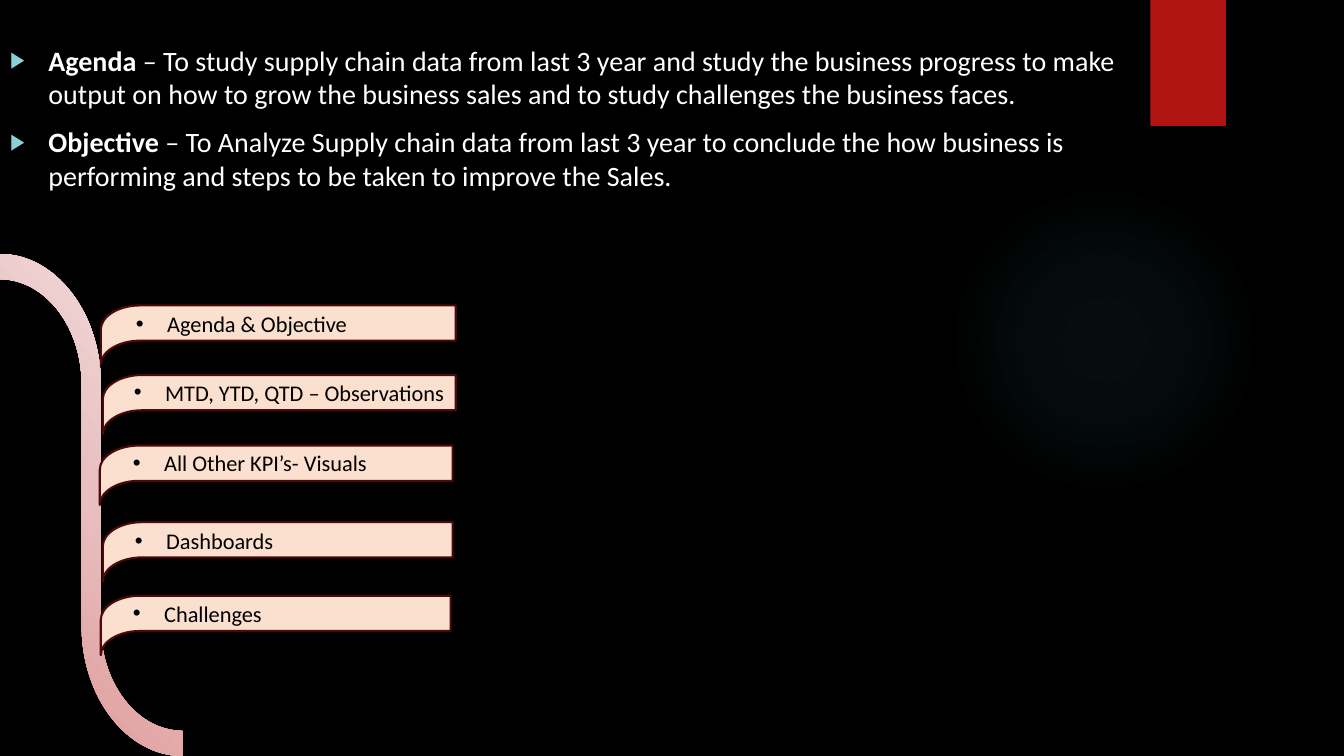
from pptx import Presentation
from pptx.dml.color import RGBColor
from pptx.enum.shapes import MSO_SHAPE
from pptx.enum.text import MSO_ANCHOR, MSO_AUTO_SIZE
from pptx.oxml import parse_xml
from pptx.oxml.ns import nsdecls, qn
from pptx.util import Inches, Pt

WIDE, HIGH = 13.33, 7.5
ROUND = 0.55  # share of a quarter ellipse's side taken by its handle
BLACK = RGBColor(0, 0, 0)
WHITE = RGBColor(255, 255, 255)
RED = RGBColor(0xB0, 0x15, 0x13)
TEAL = RGBColor(0x50, 0xB9, 0xC1)
AQUA = RGBColor(0x8A, 0xD0, 0xD6)
PEACH = RGBColor(0xFB, 0xE0, 0xCF)
MAROON = RGBColor(0x4D, 0x09, 0x08)
ROSE = RGBColor(0xDE, 0x92, 0x92)
PINK = RGBColor(0xE8, 0xBE, 0xBE)
BLUSH = RGBColor(0xF3, 0xDF, 0xDF)

GOALS = [
    ("Agenda", " – To study supply chain data from last 3 year and study the business "
     "progress to make output on how to grow the business sales and to study "
     "challenges the business faces."),
    ("Objective", " – To Analyze Supply chain data from last 3 year to conclude the how "
     "business is performing and steps to be taken to improve the Sales."),
]
# label, ribbon box (left, top, width), text offset (x, y), text width
TOPICS = [
    ("Agenda & Objective", (1, 3.03, 3.52), (0.25, 0), 3.12),
    ("MTD, YTD, QTD – Observations", (1.02, 3.72, 3.5), (0.21, -0.01), 3.29),
    ("All Other KPI’s- Visuals", (0.99, 4.42, 3.5), (0.23, -0.01), 2.63),
    ("Dashboards", (1.02, 5.18, 3.47), (0.22, 0), 2.36),
    ("Challenges", (1, 5.91, 3.47), (0.22, -0.01), 2.36),
]


def put(item, values):
    for name, value in values.items():
        setattr(item, name, value)


def place(shape, box):
    names = ("left", "top", "width", "height")
    put(shape, dict(zip(names, map(Inches, box))))


def outline(slide, steps):
    """Closed shape through (x, y, way) steps.

    A step's way is "" for a straight line, or "h" or "v" for a quarter
    ellipse that sets off horizontally or vertically.
    """
    spots = [(Inches(x), Inches(y)) for x, y, _ in steps]
    pen = slide.shapes.build_freeform(*spots[0])
    pen.add_line_segments(spots[1:], close=True)
    shape = pen.convert_to_shape()
    shape.shadow.inherit = False
    lines = list(shape._element.iter(qn("a:lnTo")))
    for line, (x, y), (u, v), step in zip(lines, spots, spots[1:], steps[1:]):
        if not step[2]:
            continue
        across, down = int(ROUND * (u - x)), int(ROUND * (v - y))
        if step[2] == "h":
            grips = [(x + across, y), (u, v - down)]
        else:
            grips = [(x, y + down), (u - across, v)]
        marks = "".join(f'<a:pt x="{a - shape.left}" y="{b - shape.top}"/>'
                        for a, b in [*grips, (u, v)])
        line.getparent().replace(line, parse_xml(
            f'<a:cubicBezTo {nsdecls("a")}>{marks}</a:cubicBezTo>'))
    return shape


def shade(shape, stops, course):
    """Fill with a gradient of (percent, colour, opacity) stops."""
    marks = "".join(
        f'<a:gs pos="{at * 1000}"><a:srgbClr val="{tone}">'
        f'<a:alpha val="{alpha * 1000}"/></a:srgbClr></a:gs>'
        for at, tone, alpha in stops)
    shape.fill.gradient()
    props = shape._element.spPr
    props.replace(props.find(qn("a:gradFill")), parse_xml(
        f'<a:gradFill {nsdecls("a")} rotWithShape="1">'
        f'<a:gsLst>{marks}</a:gsLst>{course}</a:gradFill>'))
    shape.line.fill.background()


def bullet(para, sign, indent, tone=None, size=100):
    props = para._p.get_or_add_pPr()
    props.set("marL", str(Inches(indent)))
    props.set("indent", str(-Inches(indent)))
    parts = [f'<a:buSzPct {nsdecls("a")} val="{size * 1000}"/>',
             f'<a:buFont {nsdecls("a")} typeface="Arial"/>',
             f'<a:buChar {nsdecls("a")} char="{sign}"/>']
    if tone is not None:
        parts.insert(0, f'<a:buClr {nsdecls("a")}><a:srgbClr val="{tone}"/></a:buClr>')
    for part in parts:
        props.append(parse_xml(part))


def write(para, text, size, tone, bold=False):
    run = para.add_run()
    run.text = text
    put(run.font, {"name": "Calibri", "size": Pt(size), "bold": bold})
    run.font.color.rgb = tone


def backdrop(slide):
    """Black ground, with the glow and the flag moved onto the layout."""
    slide.background.fill.solid()
    slide.background.fill.fore_color.rgb = BLACK
    glow = slide.shapes.add_shape(MSO_SHAPE.OVAL, 0, 0, 0, 0)
    place(glow, (9.41, 1.83, 3.08, 3.08))
    shade(glow, [(0, TEAL, 7), (36, TEAL, 6), (69, TEAL, 0)],
          '<a:path path="circle"><a:fillToRect l="50000" t="50000" '
          'r="50000" b="50000"/></a:path>')
    flag = slide.shapes.add_shape(MSO_SHAPE.RECTANGLE, 0, 0, 0, 0)
    place(flag, (11.41, 0, 0.75, HIGH / 6))
    flag.fill.solid()
    flag.fill.fore_color.rgb = RED
    flag.line.fill.background()
    for number, shape in enumerate((glow, flag), 20):
        shape.shadow.inherit = False
        shape._element.nvSpPr.cNvPr.set("id", str(number))
        slide.slide_layout.shapes._spTree.append(shape._element)


def goals(slide, box):
    slide.shapes.title._element.getparent().remove(slide.shapes.title._element)
    body = slide.placeholders[1]
    place(body, box)
    frame = body.text_frame
    put(frame, {"auto_size": MSO_AUTO_SIZE.NONE, "vertical_anchor": MSO_ANCHOR.TOP,
                "word_wrap": True})
    for i, (head, rest) in enumerate(GOALS):
        para = frame.add_paragraph() if i else frame.paragraphs[0]
        para.space_before = Pt(10)
        bullet(para, "▶", 0.38, AQUA, 80)
        write(para, head, 20, WHITE, True)
        write(para, rest, 20, WHITE)


def band(slide, box):
    """S-shaped band: a quarter bend, a straight stem and a quarter bend back."""
    left, top, wide, high = box
    thick, tall, bend = 0.19, 0.25, 1.29
    right, base = left + wide, top + high
    upper, lower = top + bend, base - bend
    outer = left + 1
    inner = outer - thick
    shape = outline(slide, [
        (left, top, ""), (outer, upper, "h"), (outer, lower, ""),
        (right, base - tall, "v"), (right, base, ""),
        (inner, lower, "h"), (inner, upper, ""), (left, top + tall, "v")])
    shade(shape, [(0, ROSE, 100), (50, PINK, 100), (100, BLUSH, 100)],
          '<a:lin ang="18900000" scaled="0"/>')


def ribbon(slide, box):
    left, top, wide = box
    arm, curl, drop = 0.35, 0.39, 0.24
    right, base = left + wide, top + arm
    shape = outline(slide, [
        (left + curl, top, ""), (right, top, ""), (right, base, ""),
        (left + curl, base, ""), (left, base + drop, "h"),
        (left, top + drop, ""), (left + curl, top, "v")])
    shape.fill.solid()
    shape.fill.fore_color.rgb = PEACH
    shape.line.color.rgb = MAROON
    shape.line.width = Pt(1.5)


def label(slide, text, box):
    frame = slide.shapes.add_textbox(*map(Inches, box)).text_frame
    put(frame, {"word_wrap": True, "auto_size": MSO_AUTO_SIZE.SHAPE_TO_FIT_TEXT})
    bullet(frame.paragraphs[0], "•", 0.31)
    write(frame.paragraphs[0], text, 16, BLACK)


def topics(slide):
    for _, box, _, _ in TOPICS:
        ribbon(slide, box)
    for text, (left, top, _), (x, y), wide in reversed(TOPICS):
        label(slide, text, (left + x, top + y, wide, 0.37))


def main():
    deck = Presentation()
    put(deck, {"slide_width": Inches(WIDE), "slide_height": Inches(HIGH)})
    slide = deck.slides.add_slide(deck.slide_layouts[1])
    backdrop(slide)
    goals(slide, (0, 0.38, 11.38, 6.79))
    band(slide, (0, 2.52, 1.81, 4.98))
    topics(slide)
    deck.save("out.pptx")


if __name__ == "__main__":
    main()
